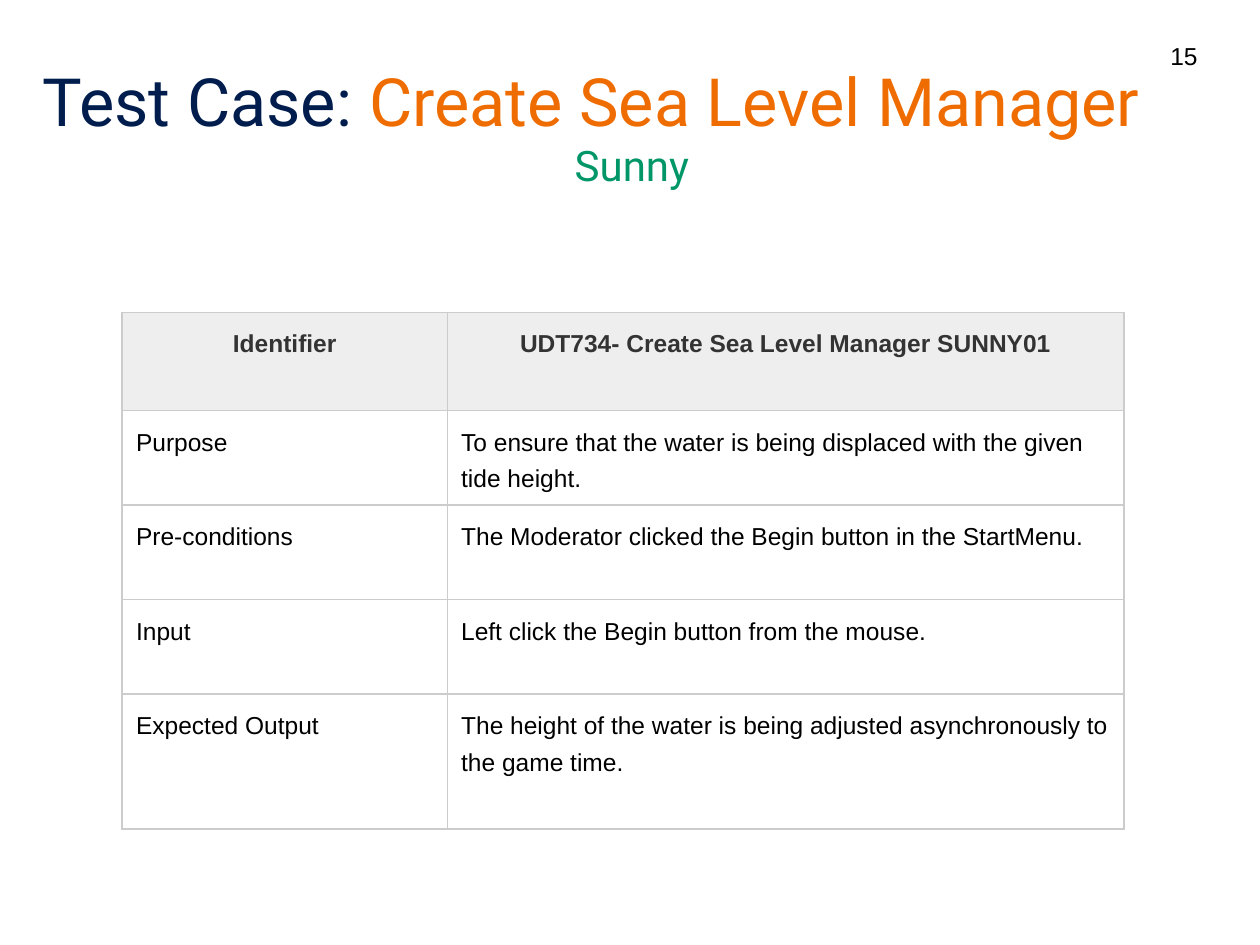
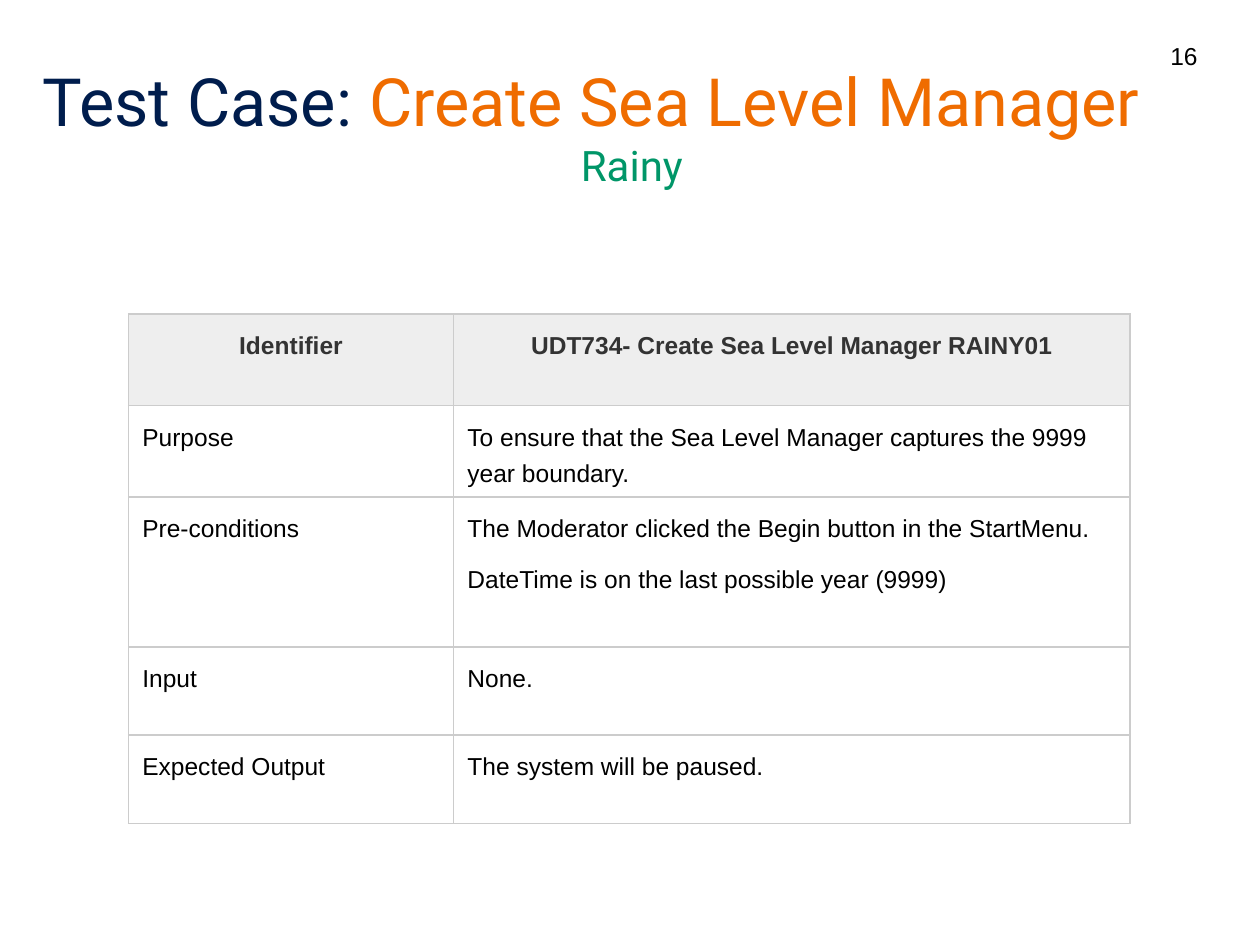
from lxml import etree
from pptx import Presentation
from pptx.dml.color import RGBColor
from pptx.enum.text import MSO_ANCHOR, MSO_AUTO_SIZE, PP_ALIGN
from pptx.oxml.ns import qn
from pptx.util import Inches, Pt

LEFT, CENTER = PP_ALIGN.LEFT, PP_ALIGN.CENTER
BOTTOM, MIDDLE = MSO_ANCHOR.BOTTOM, MSO_ANCHOR.MIDDLE
NO_AUTOFIT = MSO_AUTO_SIZE.NONE
TITLE_ONLY_LAYOUT = 5

COLORS = {
    "navy": "001D4D",
    "orange": "EF6C00",
    "green": "009668",
    "header_text": "333333",
    "header_fill": "EEEEEE",
    "text": "000000",
    "cell_fill": "FFFFFF",
    "border": "CCCCCC",
}
TITLE_FONT, BODY_FONT = "Roboto", "Arial"
TITLE_BOX = (0.24, 0.42, 9.55, 1.14)
NUMBER_BOX = (9.19, 0.24, 0.54, 0.4)
COLUMN_WIDTHS = (2.58, 5.37)
ROW_LABELS = ("Identifier", "Purpose", "Pre-conditions", "Input", "Expected Output")

TEST_CASES = [
    {
        "number": 15,
        "scenario": "Sunny",
        "table_origin": (0.97, 2.48),
        "row_heights": (0.78, 0.75, 0.75, 0.75, 1.07),
        "values": (
            "UDT734- Create Sea Level Manager SUNNY01",
            "To ensure that the water is being displaced with the given tide height.",
            "The Moderator clicked the Begin button in the StartMenu.",
            "Left click the Begin button from the mouse.",
            "The height of the water is being adjusted asynchronously to the game time.",
        ),
    },
    {
        "number": 16,
        "scenario": "Rainy",
        "table_origin": (1.02, 2.49),
        "row_heights": (0.73, 0.7, 1.19, 0.7, 0.7),
        "values": (
            "UDT734- Create Sea Level Manager RAINY01",
            "To ensure that the Sea Level Manager captures the 9999 year boundary.",
            "The Moderator clicked the Begin button in the StartMenu.\n"
            "DateTime is on the last possible year (9999)",
            "None.",
            "The system will be paused.",
        ),
    },
]


def rgb(name):
    return RGBColor.from_string(COLORS[name])


def format_run(run, font_name, size, color, bold=False):
    run.font.name = font_name
    run.font.size = Pt(size)
    run.font.bold = bold
    run.font.color.rgb = rgb(color)


def add_title(slide, scenario, box):
    """Fill the title placeholder: two-colour heading, centred scenario below."""
    title = slide.shapes.title
    title.left, title.top, title.width, title.height = map(Inches, box)
    text_frame = title.text_frame
    text_frame.auto_size = NO_AUTOFIT
    text_frame.vertical_anchor = BOTTOM
    text_frame.text = f"Test Case: \n{scenario}"
    heading, subtitle = text_frame.paragraphs
    heading.alignment, subtitle.alignment = LEFT, CENTER
    heading.add_run().text = "Create Sea Level Manager"
    for run, color in zip(heading.runs, ("navy", "orange")):
        format_run(run, TITLE_FONT, 38, color)
    format_run(subtitle.runs[0], TITLE_FONT, 24, "green")


def add_page_number(slide, number, box):
    text_frame = slide.shapes.add_textbox(*map(Inches, box)).text_frame
    text_frame.word_wrap = True
    text_frame.vertical_anchor = MIDDLE
    text_frame.text = str(number)
    format_run(text_frame.paragraphs[0].runs[0], BODY_FONT, 14, "text")


def set_borders(cell):
    """Draw a one-point line on all four sides of a cell."""
    properties = cell._tc.get_or_add_tcPr()
    for side in ("lnL", "lnR", "lnT", "lnB"):
        line = etree.SubElement(properties, qn(f"a:{side}"), w=str(Pt(1)))
        fill = etree.SubElement(line, qn("a:solidFill"))
        etree.SubElement(fill, qn("a:srgbClr"), val=COLORS["border"])


def fill_cell(cell, text, is_header):
    cell.margin_left = cell.margin_right = Inches(0.11)
    cell.margin_top = cell.margin_bottom = Inches(0.07)
    set_borders(cell)
    cell.fill.solid()
    cell.fill.fore_color.rgb = rgb("header_fill" if is_header else "cell_fill")
    cell.text_frame.text = text
    for paragraph in cell.text_frame.paragraphs:
        paragraph.alignment = CENTER if is_header else LEFT
        paragraph.line_spacing = 1.34
        paragraph.space_after = Pt(8)
        color = "header_text" if is_header else "text"
        format_run(paragraph.runs[0], BODY_FONT, 14, color, bold=is_header)


def add_case_table(slide, values, row_heights, origin):
    """Place the label and value table with its top left corner at origin."""
    size = (sum(COLUMN_WIDTHS), sum(row_heights))
    table = slide.shapes.add_table(
        len(ROW_LABELS), len(COLUMN_WIDTHS), *map(Inches, origin + size)
    ).table
    for column, width in zip(table.columns, COLUMN_WIDTHS):
        column.width = Inches(width)
    for index, row_texts in enumerate(zip(ROW_LABELS, values)):
        row = table.rows[index]
        row.height = Inches(row_heights[index])
        for cell, text in zip(row.cells, row_texts):
            fill_cell(cell, text, is_header=index == 0)


def add_test_case_slide(presentation, case):
    layout = presentation.slide_layouts[TITLE_ONLY_LAYOUT]
    slide = presentation.slides.add_slide(layout)
    add_title(slide, case["scenario"], TITLE_BOX)
    add_case_table(slide, case["values"], case["row_heights"], case["table_origin"])
    add_page_number(slide, case["number"], NUMBER_BOX)


def main():
    presentation = Presentation()
    presentation.slide_width = Inches(10)
    presentation.slide_height = Inches(7.5)
    for case in TEST_CASES:
        add_test_case_slide(presentation, case)
    presentation.save("out.pptx")


if __name__ == "__main__":
    main()
